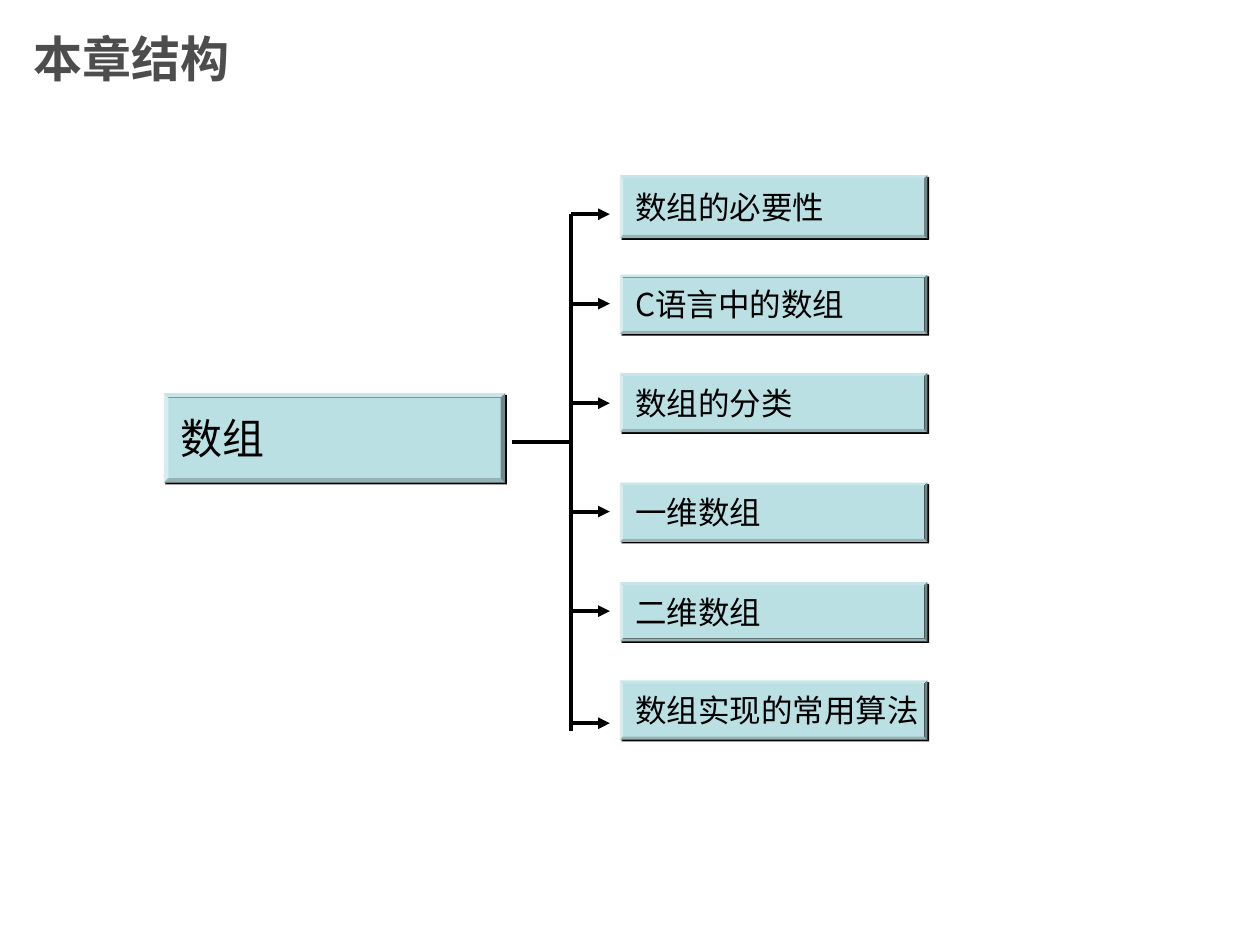
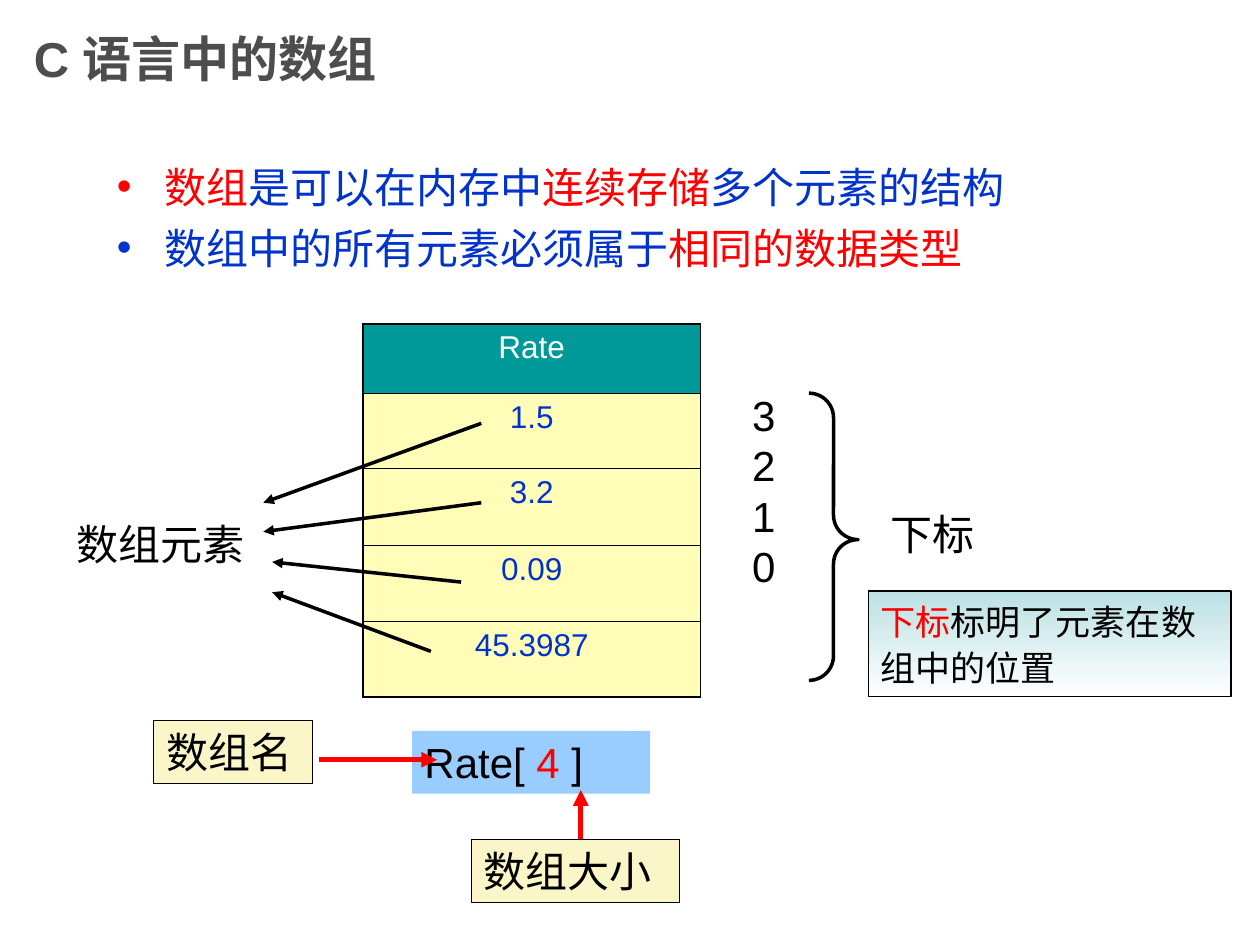
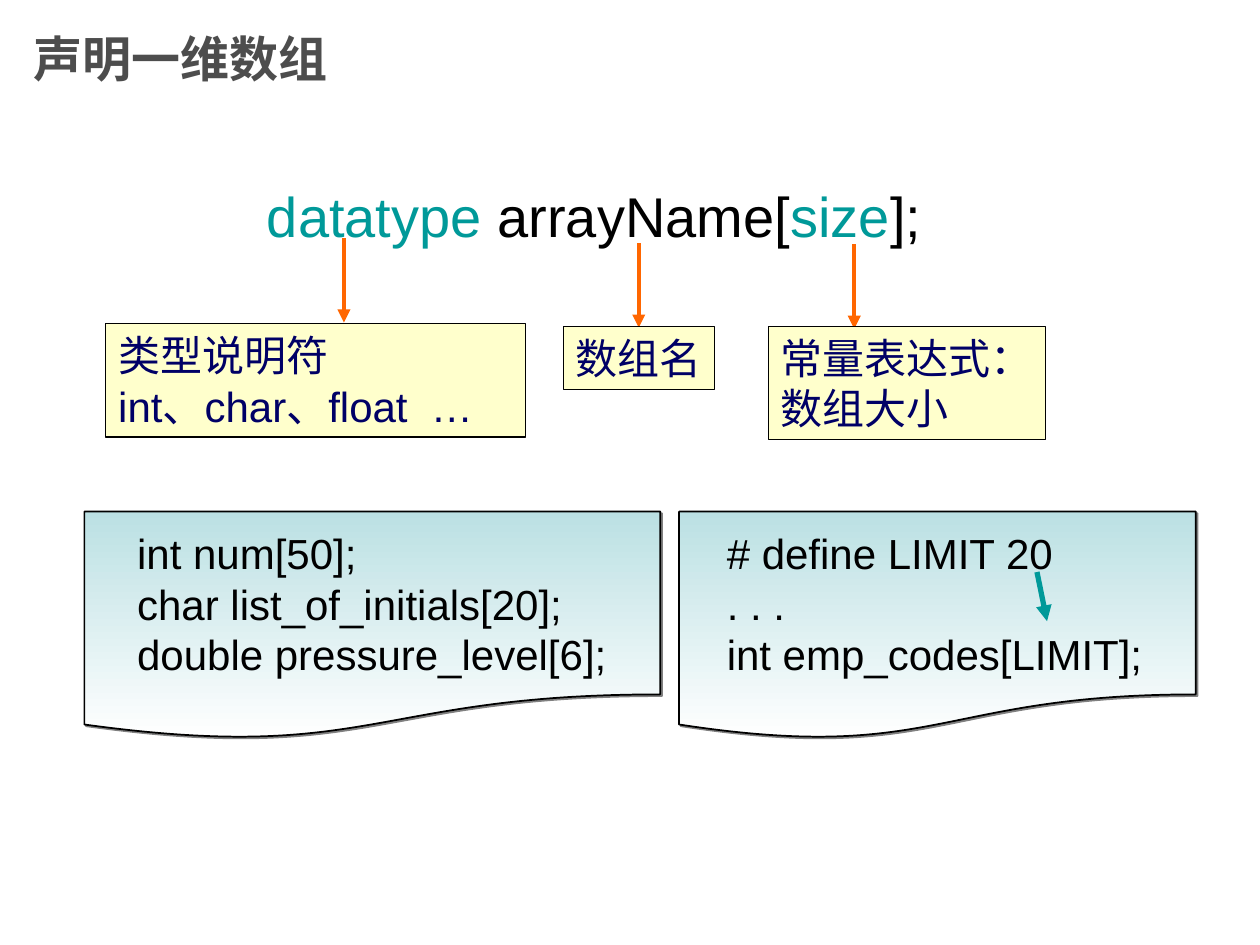
from dataclasses import dataclass, replace

from lxml.etree import SubElement
from pptx import Presentation
from pptx.dml.color import RGBColor
from pptx.enum.shapes import MSO_CONNECTOR as Connector, MSO_SHAPE as Preset
from pptx.enum.text import MSO_ANCHOR as Anchor, PP_ALIGN as Align
from pptx.oxml.ns import qn
from pptx.util import Pt

EMU_PER_PX = 9144


@dataclass(frozen=True)
class Style:
    """Look of one kind of text."""
    size: int
    color: str
    font: str = "Arial"
    bold: bool = False
    leading: float = 1.2
    align: Align = Align.LEFT


@dataclass(frozen=True)
class Theme:
    """Colours and text styles that the slides share."""
    black: str = "000000"
    white: str = "FFFFFF"
    red: str = "FF0000"
    blue: str = "0033CC"
    teal: str = "009999"
    orange: str = "FF6600"
    gray: str = "808080"
    pale_teal: str = "BBE0E3"
    pale_yellow: str = "FFFDB7"
    cream: str = "FBF6C7"
    ivory: str = "FFFFCC"
    sky: str = "99CCFF"
    title: Style = Style(28, "4D4D4D", bold=True)
    body: Style = Style(24, "000000")
    bullet: Style = Style(24, "0033CC")
    note: Style = Style(20, "000000", leading=1.3)
    label: Style = Style(24, "000066")
    syntax: Style = Style(32, "000000")
    cell: Style = Style(18, "0033CC", leading=0, align=Align.CENTER)
    chapter: Style = Style(24, "000000", "Noto Sans CJK SC", leading=0)
    section: Style = Style(18, "000000", "Noto Sans CJK SC", leading=0)


THEME = Theme()


def px(*lengths):
    """Turn px lengths into EMU."""
    return [length * EMU_PER_PX for length in lengths]


def rgb(color):
    """Turn a hex string into a colour."""
    return RGBColor.from_string(color)


def write_paragraph(paragraph, content, style):
    """Write a string or a list of (text, colour) runs in one style."""
    runs = [(content, None)] if isinstance(content, str) else content
    for text, color in runs:
        run = paragraph.add_run()
        run.text = text
        if color:
            run.font.color.rgb = rgb(color)
    paragraph.alignment = style.align
    if style.leading:
        paragraph.line_spacing = Pt(style.size * style.leading)
    font = paragraph.font
    font.size, font.bold, font.name = Pt(style.size), style.bold, style.font
    font.color.rgb = rgb(style.color)
    properties = paragraph._p.get_or_add_pPr().find(qn("a:defRPr"))
    SubElement(properties, qn("a:ea"), typeface=style.font)


def write_text(shape, contents, style, wrap=True, anchor=Anchor.TOP):
    """Fill a shape with one paragraph per content."""
    frame = shape.text_frame
    frame.word_wrap, frame.vertical_anchor = wrap, anchor
    for index, content in enumerate(contents):
        paragraph = frame.add_paragraph() if index else frame.paragraphs[0]
        write_paragraph(paragraph, content, style)


def add_text(slide, box, contents, style, anchor=Anchor.TOP):
    """Add a plain text box."""
    write_text(slide.shapes.add_textbox(*px(*box)), contents, style, anchor=anchor)


def add_box(slide, preset, box, fill=None, line=None, width=0.75, shadow=None):
    """Add a preset shape; a pair of fill colours runs from top to bottom."""
    shape = slide.shapes.add_shape(preset, *px(*box))
    shape.shadow.inherit = False
    if isinstance(fill, tuple):
        shape.fill.gradient()
        shape.fill.gradient_angle = 270
        for stop, color, position in zip(shape.fill.gradient_stops, fill, (0, 1)):
            stop.color.rgb, stop.position = rgb(color), position
    elif fill:
        shape.fill.solid()
        shape.fill.fore_color.rgb = rgb(fill)
    else:
        shape.fill.background()
    if line:
        shape.line.color.rgb, shape.line.width = rgb(line), Pt(width)
    else:
        shape.line.fill.background()
    if shadow:
        effects = shape._element.spPr.find(qn("a:effectLst"))
        outer = SubElement(effects, qn("a:outerShdw"), blurRad="0", dist=str(Pt(1.4)),
                           dir="2700000", algn="ctr", rotWithShape="0")
        SubElement(outer, qn("a:srgbClr"), val=shadow)
    return shape


def add_bevel(slide, box, text, style):
    """Add a raised box of the chapter tree."""
    shape = add_box(slide, Preset.BEVEL, box, THEME.pale_teal, shadow=THEME.black)
    shape.adjustments[0] = 0.05
    write_text(shape, [text], style, wrap=False, anchor=Anchor.MIDDLE)


def add_line(slide, start, end, color, width, arrow=True):
    """Add a straight line, with an arrowhead at its end if wanted."""
    line = slide.shapes.add_connector(Connector.STRAIGHT, *px(*start, *end))
    line.line.color.rgb, line.line.width = rgb(color), Pt(width)
    if arrow:
        SubElement(line.line._get_or_add_ln(), qn("a:tailEnd"), type="triangle")
    SubElement(line._element.spPr, qn("a:effectLst"))


def add_bullets(slide, box, items):
    """Add a bulleted list of (bullet colour, content) items."""
    frame = slide.shapes.add_textbox(*px(*box)).text_frame
    frame.word_wrap = True
    for index, (color, content) in enumerate(items):
        paragraph = frame.add_paragraph() if index else frame.paragraphs[0]
        properties = paragraph._p.get_or_add_pPr()
        properties.set("marL", str(38 * EMU_PER_PX))
        properties.set("indent", str(-38 * EMU_PER_PX))
        SubElement(SubElement(properties, qn("a:buClr")), qn("a:srgbClr"), val=color)
        SubElement(properties, qn("a:buFont"), typeface="Arial")
        SubElement(properties, qn("a:buChar"), char="•")
        if index:
            paragraph.space_before = Pt(6)
        write_paragraph(paragraph, content, THEME.bullet)


def set_borders(cell, widths):
    """Draw the left, right, top and bottom borders of a cell."""
    properties = cell._tc.get_or_add_tcPr()
    for index, (side, width) in enumerate(zip("LRTB", widths)):
        border = SubElement(properties, qn(f"a:ln{side}"), w=str(Pt(width)))
        fill = SubElement(border, qn("a:solidFill"))
        SubElement(fill, qn("a:srgbClr"), val=THEME.black)
        properties.insert(index, border)


def add_value_table(slide, box, heights, values):
    """Add a one-column table whose first row is its header."""
    table = slide.shapes.add_table(len(values), 1, *px(*box)).table
    table.first_row = table.horz_banding = False
    last = len(values) - 1
    for index, (height, value) in enumerate(zip(heights, values)):
        table.rows[index].height = height * EMU_PER_PX
        cell = table.cell(index, 0)
        cell.fill.solid()
        cell.fill.fore_color.rgb = rgb(THEME.pale_yellow if index else THEME.teal)
        style = THEME.cell if index else replace(THEME.cell, color=THEME.white)
        write_paragraph(cell.text_frame.paragraphs[0], value, style)
        set_borders(cell, (1.08, 1.08, 0.45 if index else 1.08,
                           1.08 if index == last else 0.45))


def add_titled_slide(presentation, title):
    """Add a blank slide with the shared title."""
    slide = presentation.slides.add_slide(presentation.slide_layouts[6])
    add_text(slide, (17, 0, 750, 92), [title], THEME.title, anchor=Anchor.MIDDLE)
    return slide


def build_structure(presentation):
    """Build the tree of the chapter's sections."""
    slide = add_titled_slide(presentation, "本章结构")
    sections = [
        ("数组的必要性", 139, 50, 170),
        ("C语言中的数组", 218, 47, 241),
        ("数组的分类", 296, 47, 320),
        ("一维数组", 383, 47, 406),
        ("二维数组", 462, 47, 485),
        ("数组实现的常用算法", 540, 47, 574),
    ]
    trunk = 453
    add_bevel(slide, (130, 312, 271, 71), "数组", THEME.chapter)
    add_line(slide, (406, 351), (trunk, 351), THEME.black, 2.25, arrow=False)
    add_line(slide, (trunk, 170), (trunk, 580), THEME.black, 2.25, arrow=False)
    for text, top, height, arrow_y in sections:
        add_bevel(slide, (492, top, 244, height), text, THEME.section)
        add_line(slide, (trunk, arrow_y), (484, arrow_y), THEME.black, 2.25)


def build_concept(presentation):
    """Build the slide on elements, subscripts, name and size of an array."""
    slide = add_titled_slide(presentation, "C 语言中的数组")
    add_value_table(slide, (288, 257, 268, 296), (55, 60, 61, 60, 60),
                    ("Rate", "1.5", "3.2", "0.09", "45.3987"))
    add_text(slide, (587, 304, 71, 170), ["3", "2", "1", "0"], THEME.body)
    declaration = add_box(slide, Preset.RECTANGLE, (327, 580, 189, 50), THEME.sky)
    write_text(declaration, [[("Rate[ ", None), ("4", THEME.red), (" ]", None)]], THEME.body)
    for text, box in (("数组名", (122, 572, 126, 50)), ("数组大小", (374, 666, 165, 50))):
        tag = add_box(slide, Preset.RECTANGLE, box, THEME.cream, THEME.black, 0.5)
        write_text(tag, [text], THEME.body)
    note = add_box(slide, Preset.RECTANGLE, (689, 469, 288, 84),
                   (THEME.pale_teal, THEME.white), THEME.black)
    write_text(note, [[("下标", THEME.red), ("标明了元素在数组中的位置", None)]], THEME.note)
    brace = add_box(slide, Preset.RIGHT_BRACE, (642, 312, 39, 228), line=THEME.black, width=2)
    brace.adjustments[0], brace.adjustments[1] = 0.5, 0.51
    add_text(slide, (51, 407, 165, 50), ["数组元素"], THEME.body)
    add_text(slide, (697, 399, 142, 50), ["下标"], THEME.body)
    for start, end in (((382, 336), (209, 399)), ((382, 399), (209, 422)),
                       ((366, 462), (216, 446)), ((342, 517), (216, 470))):
        add_line(slide, start, end, THEME.black, 2)
    for start, end in (((253, 603), (347, 603)), ((461, 666), (461, 627))):
        add_line(slide, start, end, THEME.red, 3)
    add_bullets(slide, (83, 123, 866, 102), [
        (THEME.red, [("数组", THEME.red), ("是可以在内存中", None),
                     ("连续存储", THEME.red), ("多个元素的结构", None)]),
        (THEME.blue, [("数组中的所有元素必须属于", None), ("相同的数据类型", THEME.red)]),
    ])


def build_declaration(presentation):
    """Build the slide on the syntax of a declaration."""
    slide = add_titled_slide(presentation, "声明一维数组")
    syntax = [("datatype", THEME.teal), (" arrayName[", None),
              ("size", THEME.teal), ("];", None)]
    add_text(slide, (202, 139, 550, 64), [syntax], THEME.syntax)
    parts = [
        (["类型说明符", "int、char、float  …"], (84, 257, 333, 90), 273, 189),
        (["数组名"], (447, 259, 120, 50), 507, 193),
        (["常量表达式：", "数组大小"], (610, 259, 220, 90), 678, 194),
    ]
    for lines, box, arrow_x, arrow_top in parts:
        add_line(slide, (arrow_x, arrow_top), (arrow_x, arrow_top + 67), THEME.orange, 2.5)
        part = add_box(slide, Preset.RECTANGLE, box, THEME.ivory, THEME.black)
        write_text(part, lines, THEME.label, wrap=False)
    examples = [
        (67, 457, 99, 400, ["int num[50];", "char list_of_initials[20];",
                            "double pressure_level[6];"]),
        (539, 410, 567, 360, ["# define LIMIT 20", ". . .", "int emp_codes[LIMIT];"]),
    ]
    for left, width, code_left, code_width, code in examples:
        add_box(slide, Preset.FLOWCHART_DOCUMENT, (left, 406, width, 181),
                (THEME.pale_teal, THEME.white), THEME.black, 1, THEME.gray)
        add_text(slide, (code_left, 414, code_width, 130), code, THEME.body)
    add_line(slide, (823, 454), (831, 493), THEME.teal, 3)


def main():
    """Build and save the presentation."""
    presentation = Presentation()
    presentation.slide_width, presentation.slide_height = px(1000, 750)
    build_structure(presentation)
    build_concept(presentation)
    build_declaration(presentation)
    presentation.save("out.pptx")


if __name__ == "__main__":
    main()
